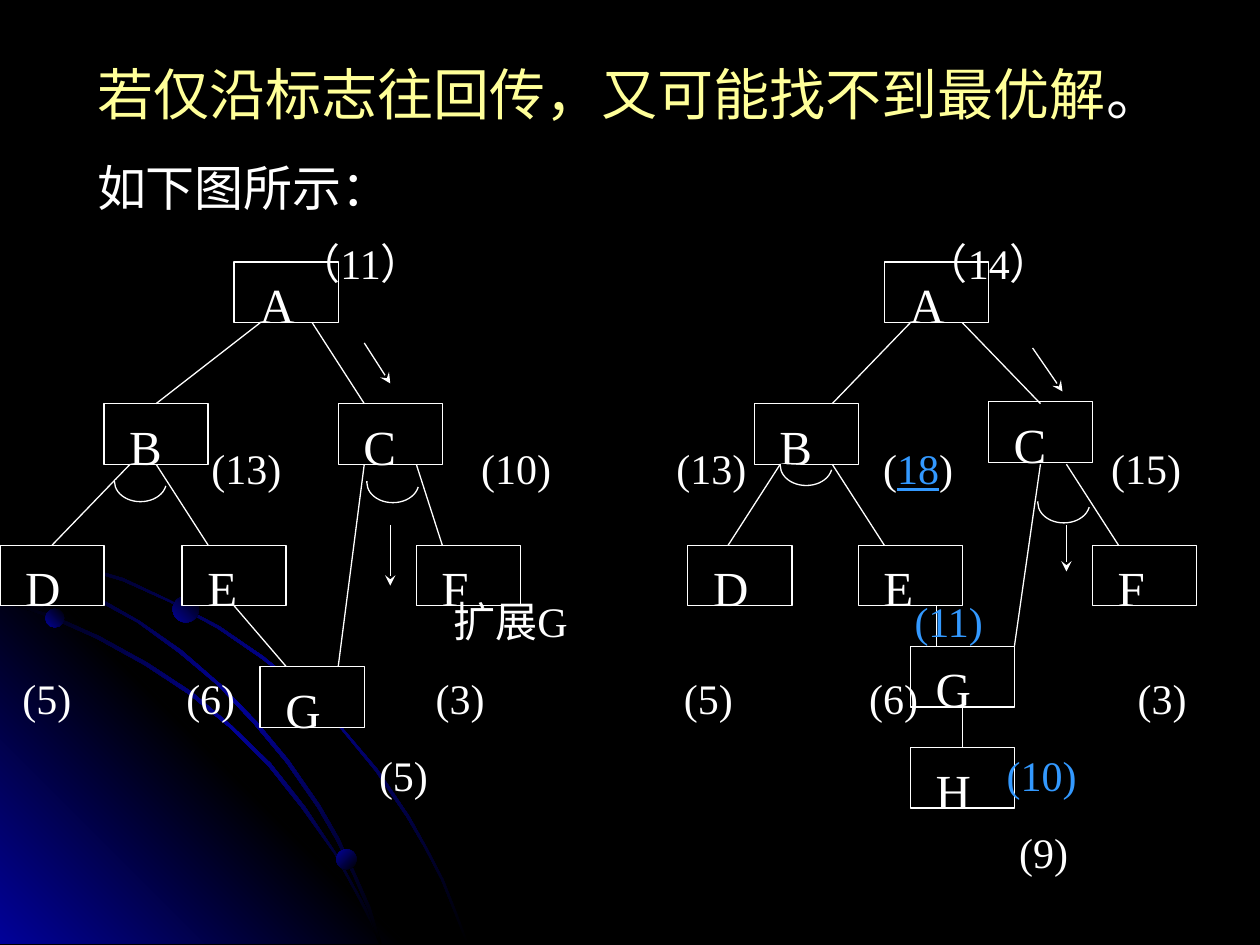
import pptx
import pptx.util
import pptx.oxml
import pptx.oxml.ns
import pptx.dml.color
import pptx.enum.shapes
import pptx.enum.text
from pptx.util import Inches, Pt

RGB = pptx.dml.color.RGBColor
BLACK = RGB(0x00, 0x00, 0x00)
NAVY = RGB(0x01, 0x01, 0x99)
WHITE = RGB(0xFF, 0xFF, 0xFF)
YELLOW = RGB(0xFF, 0xFF, 0x99)
SKY = RGB(0x33, 0x99, 0xFF)
FONT = "Times New Roman"
SHAPE = pptx.enum.shapes.MSO_SHAPE
COL, ROW = 0.2065, 0.1605

TRIANGLE = [(3.22, 7.49), (0, 7.49), (0, 4.27)]
ORBITS = [
    [(0.57, 4.47), (0.28, 4.41), (0, 4.35), (0, 4.38), (0.28, 4.43), (0.56, 4.49),
     (0.97, 4.61), (1.35, 4.78), (1.73, 4.99), (2.08, 5.23), (2.41, 5.49), (2.71, 5.79),
     (2.98, 6.12), (3.23, 6.49), (3.37, 6.73), (3.5, 6.98), (3.6, 7.23), (3.7, 7.49),
     (3.72, 7.49), (3.62, 7.23), (3.52, 6.98), (3.39, 6.73), (3.25, 6.48), (3, 6.11),
     (2.72, 5.78), (2.42, 5.48), (2.09, 5.21), (1.74, 4.97), (1.36, 4.77), (0.98, 4.59)],
    [(2.85, 7.14), (2.94, 7.32), (3.01, 7.49), (3.03, 7.49), (2.96, 7.3), (2.86, 7.12),
     (2.66, 6.76), (2.42, 6.4), (2.15, 6.06), (1.84, 5.76), (1.52, 5.49), (1.17, 5.26),
     (0.79, 5.05), (0.41, 4.88), (0, 4.75), (0, 4.77), (0.39, 4.9), (0.77, 5.07),
     (1.15, 5.28), (1.5, 5.51), (1.83, 5.78), (2.13, 6.08), (2.4, 6.42), (2.65, 6.77)],
    [(0, 4.42), (0, 4.44), (0.36, 4.57), (0.74, 4.75), (1.09, 4.94), (1.42, 5.18),
     (1.73, 5.44), (2.02, 5.75), (2.27, 6.05), (2.52, 6.41), (2.67, 6.67), (2.8, 6.94),
     (2.92, 7.22), (3.01, 7.49), (3.03, 7.49), (2.94, 7.2), (2.82, 6.93), (2.69, 6.65),
     (2.54, 6.39), (2.29, 6.03), (2.04, 5.73), (1.75, 5.43), (1.44, 5.16), (1.11, 4.93),
     (0.76, 4.73), (0.39, 4.55)],
]
PLANETS = [(0.36, 4.83, 0.15, 135), (2.67, 6.74, 0.16, 225), (1.37, 4.73, 0.21, 135)]

LEFT_TREE = {
    "nodes": [("A", 9, 0), ("B", 4, 7), ("C", 13, 7), ("D", 0, 14), ("E", 7, 14),
              ("F", 16, 14), ("G", 10, 20)],
    "edges": [(10, 3, 6, 7), (12, 3, 14, 7), (5, 10, 2, 14), (6, 10, 8, 14),
              (9, 17, 11, 20), (14, 10, 13, 20), (16, 10, 17, 14)],
    "arcs": [(4.4, 9.85), (14.1, 9.9)],
    "arrows": [(14, 4, 15, 6), (15, 13, 15, 16)],
}
RIGHT_TREE = {
    "nodes": [("A", 9, 0), ("B", 4, 7), ("C", 13, 6.9), ("D", 1.45, 14), ("E", 8, 14),
              ("F", 17, 14), ("G", 10, 19), ("H", 10, 24)],
    "edges": [(10, 3, 7, 7), (12, 3, 15, 7), (5, 10, 3, 14), (7, 10, 9, 14),
              (16, 10, 18, 14), (12, 22, 12, 24), (11, 17, 11, 19), (15, 10, 14, 19)],
    "arcs": [(14.9, 10.9), (5, 9.05)],
    "arrows": [(14.7, 4.25, 15.85, 6.4), (16, 13, 16, 15.3)],
}
COSTS = [
    (0, [(2.27, "（11）", WHITE), (7.25, "（14）", WHITE)]),
    (89, [(1.58, "(13)", WHITE), (3.72, "(10)", WHITE), (5.27, "(13)", WHITE),
          (6.91, "(", WHITE), (None, "18", SKY), (None, ")", WHITE), (8.72, "(15)", WHITE)]),
    (59.5, [(3.5, "扩展G", WHITE), (7.16, "(11)", SKY)]),
    (16, [(0.08, "(5)", WHITE), (1.38, "(6)", WHITE), (3.36, "(3)", WHITE),
          (5.33, "(5)", WHITE), (6.8, "(6)", WHITE), (8.93, "(3)", WHITE)]),
    (16, [(2.91, "(5)", WHITE), (7.89, "(10)", SKY)]),
    (16, [(7.99, "(9)", WHITE)]),
]


def add_run(p, text, size, color):
    r = p.add_run()
    r.text = text
    r.font.size = Pt(size)
    r.font.name = FONT
    r.font.color.rgb = color
    return r


def fill_gradient(sp, colors, angle):
    sp.shadow.inherit = False
    sp.line.fill.background()
    sp.fill.background()
    step = 100000 // (len(colors) - 1)
    stops = "".join(f'<a:gs pos="{i * step}"><a:srgbClr val="{c}"/></a:gs>'
                    for i, c in enumerate(colors))
    grad = pptx.oxml.parse_xml(
        f'<a:gradFill {pptx.oxml.ns.nsdecls("a")}><a:gsLst>{stops}</a:gsLst>'
        f'<a:lin ang="{angle * 60000}" scaled="0"/></a:gradFill>')
    spPr = sp._element.spPr
    spPr.replace(spPr.find(pptx.oxml.ns.qn("a:noFill")), grad)


def add_backdrop(slide, left, top):
    def outline(points, colors, angle):
        pts = [(Inches(left + x), Inches(top + y)) for x, y in points]
        builder = slide.shapes.build_freeform(*pts[0])
        builder.add_line_segments(pts[1:], close=True)
        fill_gradient(builder.convert_to_shape(), colors, angle)

    outline(ORBITS[0], (BLACK, NAVY, BLACK), 225)
    outline(TRIANGLE, (NAVY, BLACK, NAVY), 135)
    for orbit in ORBITS[1:]:
        outline(orbit, (BLACK, NAVY, BLACK), 225)
    for x, y, size, angle in PLANETS:
        sp = slide.shapes.add_shape(SHAPE.OVAL, Inches(left + x), Inches(top + y),
                                    Inches(size), Inches(size))
        fill_gradient(sp, (BLACK, NAVY), angle)


def add_heading(slide, left, top, width, height):
    title = slide.shapes.title
    title.left, title.top = Inches(left), Inches(top)
    title.width, title.height = Inches(width), Inches(height)
    tf = title.text_frame
    tf.word_wrap = True
    tf.auto_size = pptx.enum.text.MSO_AUTO_SIZE.NONE
    tf.vertical_anchor = pptx.enum.text.MSO_ANCHOR.TOP
    p = tf.paragraphs[0]
    add_run(p, "若仅沿标志往回传，又可能找不到最优解", 32, YELLOW)
    add_run(p, "。", 32, WHITE)
    p2 = tf.add_paragraph()
    p2.space_before = Pt(17.5)
    add_run(p2, "如下图所示：", 28, WHITE)
    for para in tf.paragraphs:
        para.alignment = pptx.enum.text.PP_ALIGN.LEFT


def add_tree(slide, left, top, tree):
    def at(col, row):
        return Inches(left + col * COL), Inches(top + row * ROW)

    def block(kind, col, row, cols, rows):
        sp = slide.shapes.add_shape(kind, *at(col, row), Inches(cols * COL), Inches(rows * ROW))
        sp.shadow.inherit = False
        sp.fill.solid()
        sp.fill.fore_color.rgb = BLACK
        sp.line.color.rgb = WHITE
        sp.line.width = Pt(0.75)
        return sp

    def line(x1, y1, x2, y2):
        cxn = slide.shapes.add_connector(pptx.enum.shapes.MSO_CONNECTOR.STRAIGHT,
                                         *at(x1, y1), *at(x2, y2))
        cxn.line.color.rgb = WHITE
        cxn.line.width = Pt(0.75)
        cxn._element.spPr.append(
            pptx.oxml.parse_xml(f'<a:effectLst {pptx.oxml.ns.nsdecls("a")}/>'))
        return cxn

    for name, col, row in tree["nodes"]:
        tf = block(SHAPE.RECTANGLE, col, row, 4, 3).text_frame
        tf.margin_left, tf.margin_top = Inches(0.2), Inches(0.1)
        tf.vertical_anchor = pptx.enum.text.MSO_ANCHOR.TOP
        p = tf.paragraphs[0]
        p.alignment = pptx.enum.text.PP_ALIGN.LEFT
        add_run(p, name, 28, WHITE)
    for edge in tree["edges"]:
        line(*edge)
    for col, row in tree["arcs"]:
        arc = block(SHAPE.ARC, col, row, 2, 2)
        for i, degrees in enumerate((10, 183)):
            arc.adjustments[i] = degrees * 0.6
    for arrow in tree["arrows"]:
        line(*arrow).line._get_or_add_ln().append(
            pptx.oxml.parse_xml(f'<a:tailEnd {pptx.oxml.ns.nsdecls("a")} type="stealth"/>'))


def add_costs(slide, left, top, width, height):
    tf = slide.shapes.add_textbox(Inches(left), Inches(top), Inches(width),
                                  Inches(height)).text_frame
    tf.word_wrap = True
    for i, (space, items) in enumerate(COSTS):
        p = tf.add_paragraph() if i else tf.paragraphs[0]
        tabs = "".join(f'<a:tab pos="{Inches(x)}" algn="l"/>' for x, _, _ in items if x)
        p._p.get_or_add_pPr().append(pptx.oxml.parse_xml(
            f'<a:tabLst {pptx.oxml.ns.nsdecls("a")}>{tabs}</a:tabLst>'))
        p.line_spacing = Pt(28)
        if space:
            p.space_before = Pt(space)
        for x, text, color in items:
            r = add_run(p, "\t" + text if x else text, 24, color)
            if text == "18":
                r.font.underline = True


def main():
    prs = pptx.Presentation()
    prs.slide_width, prs.slide_height = Inches(10), Inches(7.5)
    slide = prs.slides.add_slide(prs.slide_layouts[5])
    slide.background.fill.solid()
    slide.background.fill.fore_color.rgb = BLACK
    add_backdrop(slide, 0, 0)
    add_heading(slide, 0.67, 0.42, 8.83, 1.35)
    add_tree(slide, 0, 2.08, LEFT_TREE)
    add_tree(slide, 5.16, 2.08, RIGHT_TREE)
    add_costs(slide, 0, 1.85, 9.58, 5.6)
    prs.save("out.pptx")


if __name__ == "__main__":
    main()
